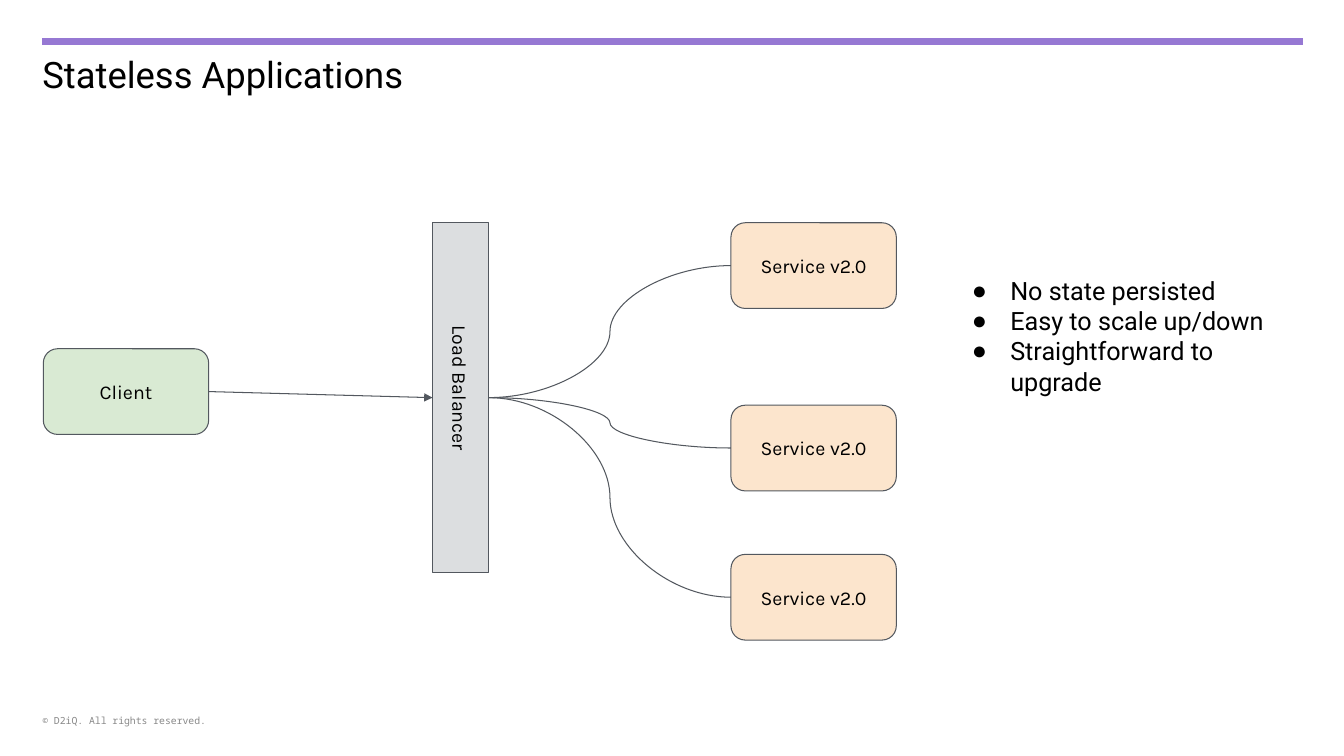
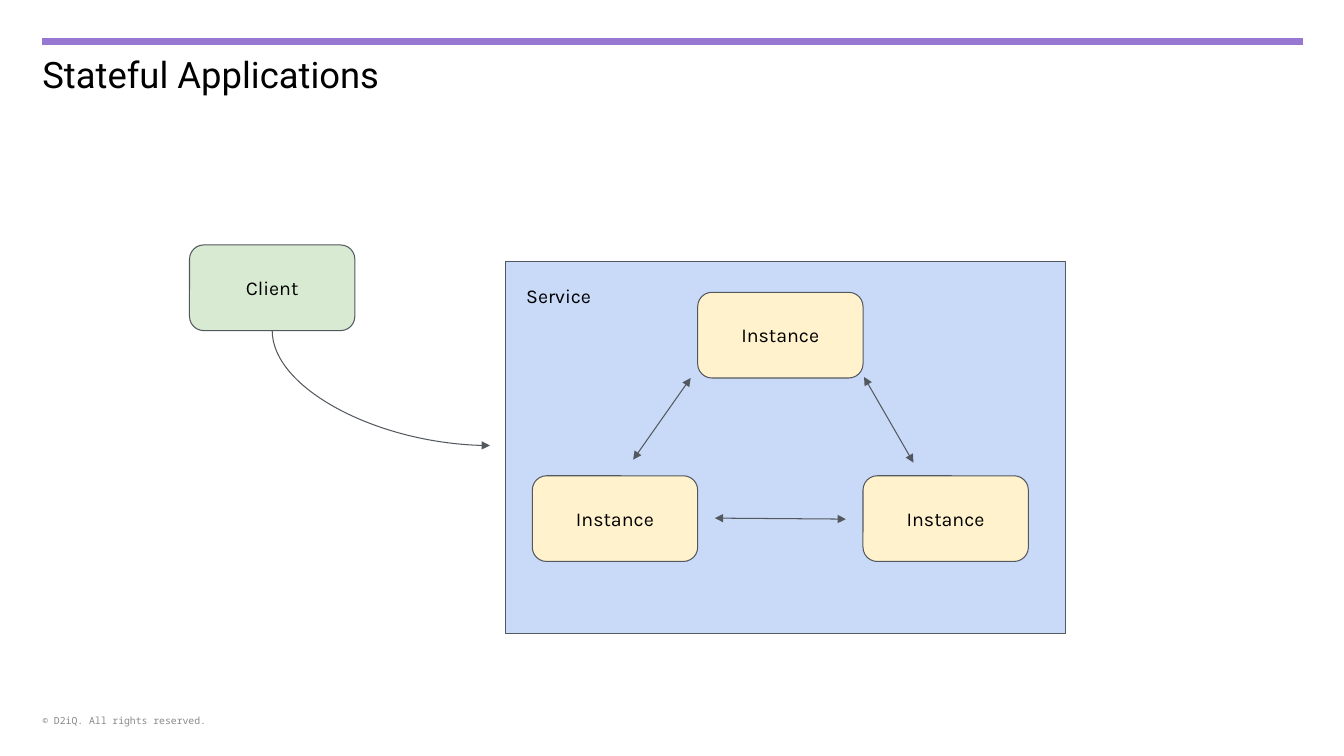
import pptx
import pptx.util
import pptx.dml.color
import pptx.enum.shapes
import pptx.enum.text
import pptx.oxml
import pptx.oxml.ns
from pptx.util import Inches

COLORS = {
    "band": "9678D3", "edge": "53585F", "ink": "000000", "note": "888888",
    "client": "D9EAD3", "service": "FCE5CD", "node": "FFF2CC",
    "bar": "DCDEE0", "group": "C9DAF8",
}
FONTS = {
    "title": {"name": "Roboto", "size": pptx.util.Pt(26)},
    "list": {"name": "Roboto", "size": pptx.util.Pt(18)},
    "label": {"name": "Karla", "size": pptx.util.Pt(14)},
    "foot": {"name": "Noto Sans Mono", "size": pptx.util.Pt(7)},
}
KINDS = pptx.enum.shapes.MSO_SHAPE
LINKS = pptx.enum.shapes.MSO_CONNECTOR
ALIGN = pptx.enum.text.PP_ALIGN
ANCHOR = pptx.enum.text.MSO_ANCHOR
BOX_W, BOX_H = 1.64, 0.85
LEFT, RIGHT = 1, 3  # connection sites of a box


def color(key):
    return pptx.dml.color.RGBColor.from_string(COLORS[key])


def apply(target, values):
    for name, value in values.items():
        setattr(target, name, value)


def place(shape, *area):
    names = ("left", "top", "width", "height")
    apply(shape, dict(zip(names, map(Inches, area))))


def child(parent, tag, **values):
    part = pptx.oxml.parse_xml(f"<a:{tag} {pptx.oxml.ns.nsdecls('a')}/>")
    for name, value in values.items():
        part.set(name, value)
    parent.append(part)
    return part


def write(shape, lines, style, ink="ink", align=ALIGN.LEFT,
          anchor=ANCHOR.TOP, pad=(0.1, 0.1), bullet=False):
    frame = shape.text_frame
    side, end = map(Inches, pad)
    apply(frame, {
        "text": "\n".join(lines), "word_wrap": True,
        "auto_size": pptx.enum.text.MSO_AUTO_SIZE.NONE,
        "vertical_anchor": anchor,
        "margin_left": side, "margin_right": side,
        "margin_top": end, "margin_bottom": end,
    })
    for para in frame.paragraphs:
        apply(para, {"alignment": align, "space_before": pptx.util.Pt(0)})
        if bullet:
            props = para._p.get_or_add_pPr()
            props.set("marL", str(Inches(0.5)))
            props.set("indent", str(Inches(-0.38)))
            child(child(props, "buClr"), "srgbClr", val=COLORS[ink])
            child(props, "buChar", char="●")
        apply(para.font, FONTS[style])
        para.font.color.rgb = color(ink)


def panel(slide, kind, fill, *area):
    shape = slide.shapes.add_shape(kind, *map(Inches, area))
    shape.shadow.inherit = False
    shape.fill.solid()
    shape.fill.fore_color.rgb = color(fill)
    shape.line.color.rgb = color("edge")
    shape.line.width = pptx.util.Pt(0.75)
    return shape


def box(slide, text, fill, left, top):
    shape = panel(slide, KINDS.ROUNDED_RECTANGLE, fill, left, top, BOX_W, BOX_H)
    write(shape, [text], "label", align=ALIGN.CENTER, anchor=ANCHOR.MIDDLE)
    return shape


def label(slide, text, *area, style="label", turn=0, **format):
    shape = slide.shapes.add_textbox(*map(Inches, area))
    shape.rotation = turn
    write(shape, [text], style, **format)


def link(slide, kind=LINKS.STRAIGHT, ends=(0, 0, 0, 0), heads=(),
         ink="edge", width=0.75):
    line = slide.shapes.add_connector(kind, *map(Inches, ends))
    line.line.color.rgb = color(ink)
    line.line.width = pptx.util.Pt(width)
    props = line._element.spPr
    stroke = props.find(pptx.oxml.ns.qn("a:ln"))
    for head in heads:
        child(stroke, head, type="triangle")
    child(props, "effectLst")
    return line


def join(slide, start, end, **format):
    line = link(slide, **format)
    line.begin_connect(start, RIGHT)
    line.end_connect(end, LEFT)


def bend(slide, x1, y1, x2, y2):
    """Quarter curve that leaves downward and arrives from the left."""
    mid_x, mid_y = (x1 + x2) / 2, (y1 + y2) / 2
    half_w, half_h = (y2 - y1) / 2, (x2 - x1) / 2
    # The frame is mirrored and turned a quarter, so its sides swap
    ends = (mid_x + half_w, mid_y - half_h, mid_x - half_w, mid_y + half_h)
    line = link(slide, LINKS.CURVE, ends, heads=["tailEnd"])
    props = line._element.spPr
    props.find(pptx.oxml.ns.qn("a:xfrm")).set("rot", str(270 * 60000))
    props.find(pptx.oxml.ns.qn("a:prstGeom")).set("prst", "curvedConnector2")


def start(deck, layout, title):
    slide = deck.slides.add_slide(deck.slide_layouts[layout])
    link(slide, ends=(0.42, 0.41, 12.92, 0.41), ink="band", width=5)
    place(slide.shapes.title, 0.42, 0.52, 11.83, 0.55)
    write(slide.shapes.title, [title], "title", pad=(0, 0))
    label(slide, "© D2iQ. All rights reserved.", 0.42, 7.02, 1.83, 0.26,
          style="foot", ink="note", anchor=ANCHOR.MIDDLE, pad=(0, 0.05))
    return slide


def stateless(deck):
    slide = start(deck, 1, "Stateless Applications")

    # Client and balancer
    client = box(slide, "Client", "client", 0.43, 3.46)
    bar = panel(slide, KINDS.RECTANGLE, "bar", 4.29, 2.21, 0.56, 3.47)
    label(slide, "Load Balancer", 3.75, 3.74, BOX_W, 0.42, turn=90)
    join(slide, client, bar, heads=["tailEnd"])

    # Services
    for top in (2.21, 4.02, 5.5):
        service = box(slide, "Service v2.0", "service", 7.25, top)
        join(slide, bar, service, kind=LINKS.CURVE)

    # Key points
    points = slide.placeholders[1]
    place(points, 9.42, 2.63, 3.65, 1.39)
    write(points, ["No state persisted", "Easy to scale up/down",
                   "Straightforward to upgrade"], "list", bullet=True)


def stateful(deck):
    slide = start(deck, 5, "Stateful Applications")

    # Service group
    panel(slide, KINDS.RECTANGLE, "group", 5.01, 2.59, 5.56, 3.7)
    label(slide, "Service", 5.12, 2.72, 0.92, 0.43)

    # Instances in a triangle
    for col, top in enumerate((4.72, 2.9, 4.72)):
        box(slide, "Instance", "node", 5.28 + col * BOX_W, top)
    for ends in ((8.57, 3.74, 9.06, 4.59), (6.28, 4.56, 6.85, 3.75),
                 (7.09, 5.14, 8.39, 5.15)):
        link(slide, ends=ends, heads=["headEnd", "tailEnd"])

    # Client
    box(slide, "Client", "client", 1.88, 2.43)
    bend(slide, 2.7, 3.28, 4.86, 4.42)


def main():
    deck = pptx.Presentation()
    apply(deck, {"slide_width": Inches(13.33), "slide_height": Inches(7.5)})
    stateless(deck)
    stateful(deck)
    deck.save("out.pptx")


if __name__ == "__main__":
    main()
